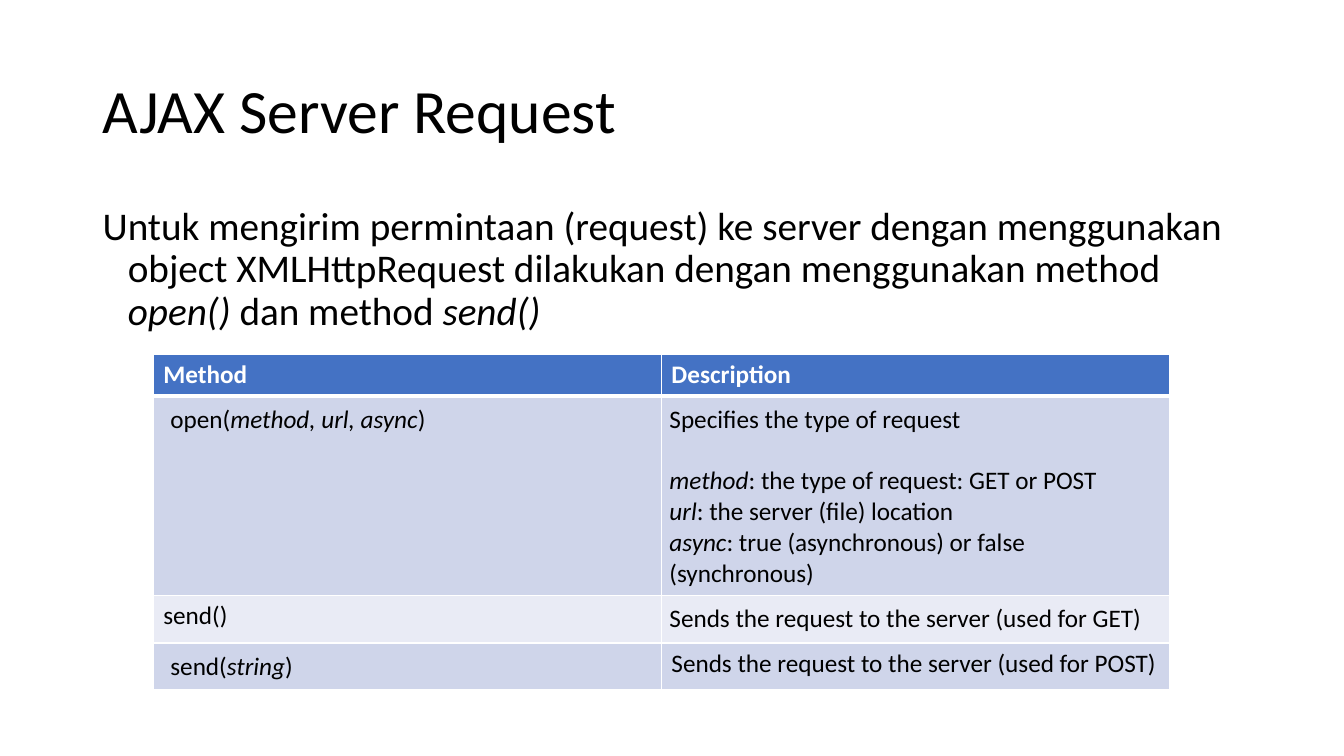
import dataclasses

import lxml.etree
import pptx
import pptx.dml.color
import pptx.enum.text
import pptx.oxml.ns
import pptx.util

PX = 9144


@dataclasses.dataclass(frozen=True)
class Theme:
    font: str = "Calibri"
    ink: str = "000000"
    paper: str = "FFFFFF"
    head: str = "4472C4"
    bands: tuple = ("CFD5EA", "E9EBF5")
    title: int = 44
    body: int = 28
    cell: int = 18
    thin: int = 1
    thick: int = 3


THEME = Theme()

TITLE = "AJAX Server Request"
INTRO = ("Untuk mengirim permintaan (request) ke server dengan menggunakan object "
         "XMLHttpRequest dilakukan dengan menggunakan method* open() *dan method *send()*")
HEADS = ["Method", "Description"]
PLAIN = (10, 5, 10, 5)
EVEN = (8, 8, 8, 8)
DEEP = (17, 8, 8, 8)
CALLS = [
    [("open(*method, url, async*)", DEEP),
     ("Specifies the type of request\n"
      "*method*: the type of request: GET or POST\n"
      "*url*: the server (file) location\n"
      "*async*: true (asynchronous) or false (synchronous)", EVEN)],
    [("send()", PLAIN), ("Sends the request to the server (used for GET)", EVEN)],
    [("send(*string*)", DEEP), ("Sends the request to the server (used for POST)", PLAIN)],
]
HEIGHTS = [41, 198, 47, 46]


def px(count):
    return pptx.util.Emu(count * PX)


def rgb(code):
    return pptx.dml.color.RGBColor.from_string(code)


def write(par, text, size, color, bold=False):
    for spot, part in enumerate(text.split("*")):
        if part:
            run = par.add_run()
            run.text = part
            font = run.font
            font.name = THEME.font
            font.size = pptx.util.Pt(size)
            font.color.rgb = rgb(color)
            font.bold = bold
            font.italic = spot % 2 == 1


def add_title(slide, left, top, width, height):
    shape = slide.shapes.title
    shape.left, shape.top, shape.width, shape.height = map(px, (left, top, width, height))
    frame = shape.text_frame
    frame.word_wrap = True
    frame.auto_size = pptx.enum.text.MSO_AUTO_SIZE.NONE
    frame.vertical_anchor = pptx.enum.text.MSO_ANCHOR.MIDDLE
    par = frame.paragraphs[0]
    par.alignment = pptx.enum.text.PP_ALIGN.LEFT
    par.line_spacing = 0.9
    write(par, TITLE, THEME.title, THEME.ink)


def add_intro(slide, left, top, width, height):
    box = slide.shapes.add_textbox(*map(px, (left, top, width, height)))
    frame = box.text_frame
    frame.word_wrap = True
    par = frame.paragraphs[0]
    par.line_spacing = 0.9
    par.space_before = pptx.util.Pt(10)
    props = par._p.get_or_add_pPr()
    props.set("marL", str(px(25)))
    props.set("indent", str(px(-25)))
    write(par, INTRO, THEME.body, THEME.ink)


def add_edges(cell, top, base):
    props = cell._tc.get_or_add_tcPr()
    sides = {"L": THEME.thin, "R": THEME.thin, "T": top, "B": base}
    for side, width in sides.items():
        line = lxml.etree.SubElement(props, pptx.oxml.ns.qn("a:ln" + side))
        line.set("w", str(pptx.util.Pt(width)))
        fill = lxml.etree.SubElement(line, pptx.oxml.ns.qn("a:solidFill"))
        color = lxml.etree.SubElement(fill, pptx.oxml.ns.qn("a:srgbClr"))
        color.set("val", THEME.paper)


def fill_cell(cell, text, inset, row):
    head = row == 0
    cell.margin_left, cell.margin_top, cell.margin_right, cell.margin_bottom = map(px, inset)
    add_edges(cell, THEME.thick if row == 1 else THEME.thin,
              THEME.thick if head else THEME.thin)
    cell.fill.solid()
    cell.fill.fore_color.rgb = rgb(THEME.head if head else THEME.bands[(row - 1) % 2])
    frame = cell.text_frame
    for spot, line in enumerate(text.split("\n")):
        par = frame.add_paragraph() if spot else frame.paragraphs[0]
        if spot == 1:
            par.space_before = pptx.util.Pt(22)
        write(par, line, THEME.cell, THEME.paper if head else THEME.ink, head)


def add_calls(slide, left, top, width):
    rows = [[(text, PLAIN) for text in HEADS]] + CALLS
    size = map(px, (left, top, width, sum(HEIGHTS)))
    table = slide.shapes.add_table(len(rows), len(HEADS), *size).table
    table.horz_banding = False
    for col in table.columns:
        col.width = px(width // len(HEADS))
    for row, cells in enumerate(rows):
        table.rows[row].height = px(HEIGHTS[row])
        for col, (text, inset) in enumerate(cells):
            fill_cell(table.cell(row, col), text, inset, row)


def main():
    deck = pptx.Presentation()
    deck.slide_width, deck.slide_height = px(1333), px(750)
    slide = deck.slides.add_slide(deck.slide_layouts.get_by_name("Title Only"))
    add_title(slide, 92, 40, 1150, 145)
    add_intro(slide, 92, 200, 1150, 476)
    add_calls(slide, 152, 352, 1008)
    deck.save("out.pptx")


if __name__ == "__main__":
    main()
